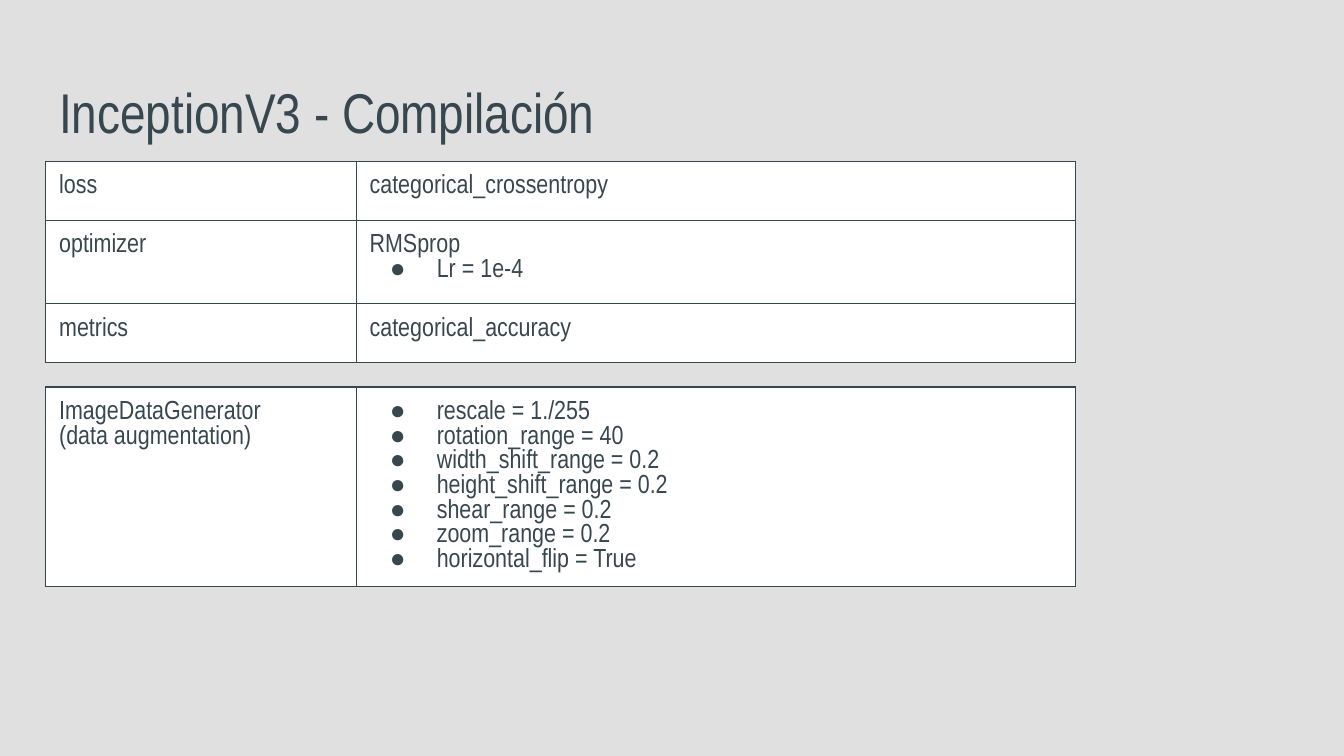
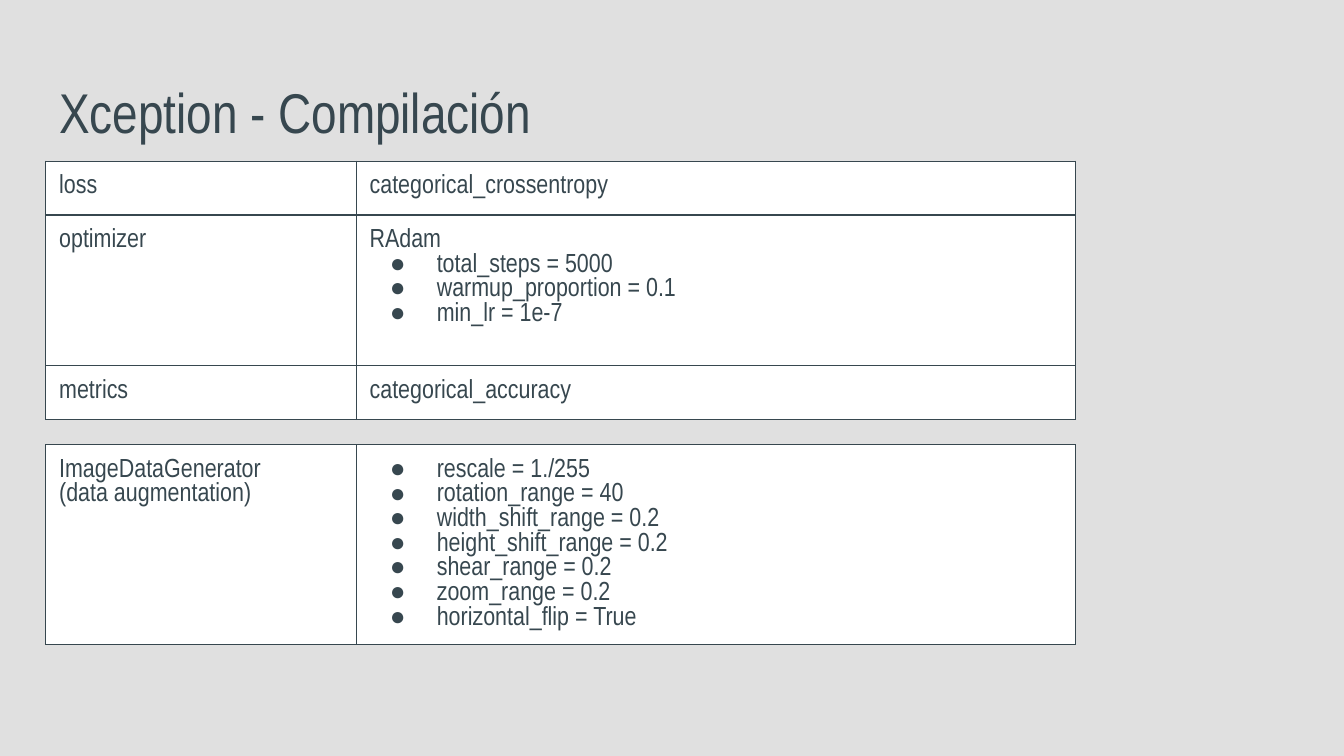
from lxml import etree
from pptx import Presentation
from pptx.dml.color import RGBColor
from pptx.enum.text import MSO_ANCHOR, MSO_AUTO_SIZE, PP_ALIGN
from pptx.oxml.ns import qn
from pptx.util import Inches, Pt

LEFT, TOP, BOTTOM = PP_ALIGN.LEFT, MSO_ANCHOR.TOP, MSO_ANCHOR.BOTTOM
NO_AUTOFIT = MSO_AUTO_SIZE.NONE
SLATE = RGBColor(0x37, 0x47, 0x4F)
WHITE = RGBColor(0xFF, 0xFF, 0xFF)
PALE_GREY = RGBColor(0xE0, 0xE0, 0xE0)
FONT = "Arial Narrow"
SLIDE_WIDTH = Inches(10)
SLIDE_HEIGHT = SLIDE_WIDTH * 9 // 16
INSET = Inches(0.1)
TITLE_BOX = (0.34, 0.49, 9.52, 0.63)
TABLE_LEFT, TABLE_TOP = 0.34, 1.2
COLUMN_WIDTHS = (2.31, 5.35)
BORDER_WIDTH = Pt(0.75)
BULLET = "●"
AUGMENTATION_HEIGHT = 1.48
AUGMENTATION = [
    (
        ["ImageDataGenerator", "(data augmentation)"],
        [
            BULLET + option
            for option in (
                "rescale = 1./255",
                "rotation_range = 40",
                "width_shift_range = 0.2",
                "height_shift_range = 0.2",
                "shear_range = 0.2",
                "zoom_range = 0.2",
                "horizontal_flip = True",
            )
        ],
    )
]
MODELS = [
    {
        "name": "InceptionV3",
        "optimizer": ["RMSprop", BULLET + "Lr = 1e-4"],
        "heights": (0.44, 0.62, 0.44),
        "augmentation_top": 2.88,
    },
    {
        "name": "Xception",
        "optimizer": [
            "RAdam",
            BULLET + "total_steps = 5000",
            BULLET + "warmup_proportion = 0.1",
            BULLET + "min_lr = 1e-7",
        ],
        "heights": (0.4, 1.12, 0.4),
        "augmentation_top": 3.31,
    },
]


def add_color(parent, color):
    """Append a solid colour value to an XML element."""
    etree.SubElement(parent, qn("a:srgbClr"), val=str(color))


def add_bullet(para):
    """Give a paragraph a hanging round bullet."""
    properties = para._p.get_or_add_pPr()
    properties.set("marL", str(Inches(0.5)))
    properties.set("indent", str(Inches(-0.35)))
    add_color(etree.SubElement(properties, qn("a:buClr")), SLATE)
    etree.SubElement(properties, qn("a:buFont"), typeface=FONT)
    etree.SubElement(properties, qn("a:buChar"), char=BULLET)


def write_text(frame, lines, size=14, color=SLATE, align=LEFT):
    """Fill a text frame with lines, bulleting those that start with the mark."""
    frame.word_wrap = True
    for index, line in enumerate(lines):
        para = frame.add_paragraph() if index else frame.paragraphs[0]
        if line.startswith(BULLET):
            add_bullet(para)
        para.alignment = align
        span = para.add_run()
        span.text = line.removeprefix(BULLET)
        span.font.name = FONT
        span.font.size = Pt(size)
        span.font.color.rgb = color


def add_borders(cell):
    """Draw a thin line on all four sides of a cell."""
    properties = cell._tc.get_or_add_tcPr()
    for side in ("lnL", "lnR", "lnT", "lnB"):
        line = etree.SubElement(properties, qn(f"a:{side}"), w=str(BORDER_WIDTH))
        add_color(etree.SubElement(line, qn("a:solidFill")), SLATE)


def add_settings_table(page, rows, heights, left, top):
    """Place a two-column table of settings at the given corner."""
    box = (left, top, sum(COLUMN_WIDTHS), sum(heights))
    table = page.shapes.add_table(
        len(rows), len(COLUMN_WIDTHS), *map(Inches, box)
    ).table
    table.first_row = table.horz_banding = False
    for column, width in zip(table.columns, COLUMN_WIDTHS):
        column.width = Inches(width)
    for row, height, contents in zip(table.rows, heights, rows):
        row.height = Inches(height)
        for cell, lines in zip(row.cells, contents):
            cell.margin_left = cell.margin_right = INSET
            cell.margin_top = cell.margin_bottom = INSET
            cell.vertical_anchor = TOP
            add_borders(cell)
            cell.fill.solid()
            cell.fill.fore_color.rgb = WHITE
            write_text(cell.text_frame, lines)


def add_title(page, text, box):
    """Move and format the title placeholder."""
    title = page.shapes.title
    title.left, title.top, title.width, title.height = map(Inches, box)
    frame = title.text_frame
    frame.margin_left = frame.margin_right = frame.margin_top = INSET
    frame.margin_bottom = Inches(0.04)
    frame.vertical_anchor = BOTTOM
    frame.auto_size = NO_AUTOFIT
    write_text(frame, [text], size=30)


def add_compilation_page(deck, model):
    """Add the slide with the compilation settings of one model."""
    page = deck.slides.add_slide(deck.slide_layouts.get_by_name("Title Only"))
    add_title(page, f"{model['name']} - Compilación", TITLE_BOX)
    settings = [
        (["loss"], ["categorical_crossentropy"]),
        (["optimizer"], model["optimizer"]),
        (["metrics"], ["categorical_accuracy"]),
    ]
    add_settings_table(page, settings, model["heights"], TABLE_LEFT, TABLE_TOP)
    add_settings_table(
        page, AUGMENTATION, [AUGMENTATION_HEIGHT], TABLE_LEFT, model["augmentation_top"]
    )


def main():
    """Build and save the deck."""
    deck = Presentation()
    deck.slide_width, deck.slide_height = SLIDE_WIDTH, SLIDE_HEIGHT
    background = deck.slide_master.background.fill
    background.solid()
    background.fore_color.rgb = PALE_GREY
    for model in MODELS:
        add_compilation_page(deck, model)
    deck.save("out.pptx")


if __name__ == "__main__":
    main()
